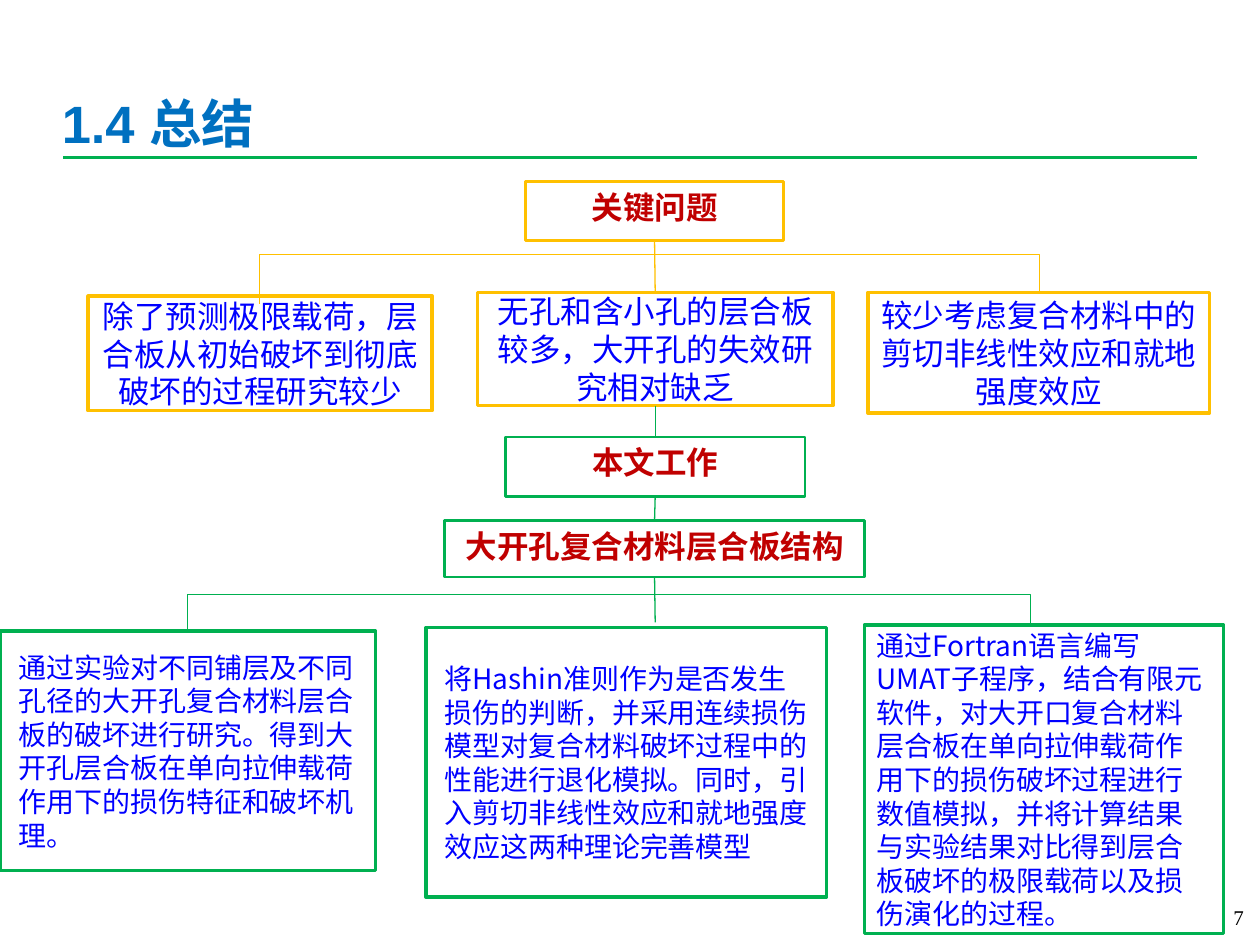
from lxml import etree
from pptx import Presentation
from pptx import util as u
from pptx.dml.color import RGBColor
from pptx.enum import shapes, text
from pptx.oxml import ns

theme = {
    "blue": RGBColor(0x00, 0x70, 0xC0), "body": RGBColor(0x00, 0x00, 0xFF),
    "red": RGBColor(0xC0, 0x00, 0x00), "black": RGBColor(0x00, 0x00, 0x00),
    "white": RGBColor(0xFF, 0xFF, 0xFF),
    "amber": RGBColor(0xFF, 0xC0, 0x00), "green": RGBColor(0x00, 0xB0, 0x50),
    "latin": "Arial", "cjk": "Noto Sans CJK SC", "serif": "Times New Roman",
    "title": 30, "head": 18, "issue": 18, "work": 16, "number": 12,
}

presentation = Presentation()
presentation.slide_width = u.Inches(10)
presentation.slide_height = u.Inches(7.5)
column = presentation.slide_width / 100
row = presentation.slide_height / 75
slide = presentation.slides.add_slide(presentation.slide_layouts[5])


def write(shape, words, size, font, color, bold=False, align=text.PP_ALIGN.CENTER,
          anchor=text.MSO_ANCHOR.MIDDLE, left=0.1, right=0.1):
    frame = shape.text_frame
    frame.text = words
    frame.word_wrap = True
    frame.auto_size = text.MSO_AUTO_SIZE.NONE
    frame.vertical_anchor = anchor
    frame.margin_left, frame.margin_right = u.Inches(left), u.Inches(right)
    paragraph = frame.paragraphs[0]
    paragraph.alignment = align
    run = paragraph.runs[0]
    run.font.size, run.font.bold, run.font.name = u.Pt(theme[size]), bold, theme[font]
    run.font.color.rgb = theme[color]
    east_asian = etree.SubElement(run.font._element, ns.qn("a:ea"))
    east_asian.set("typeface", theme["cjk"])
    return paragraph


def connect(x1, y1, x2, y2, color, width=0.75, bent=False):
    kind = shapes.MSO_CONNECTOR.ELBOW if bent else shapes.MSO_CONNECTOR.STRAIGHT
    connector = slide.shapes.add_connector(
        kind, int(x1 * column), int(y1 * row), int(x2 * column), int(y2 * row))
    connector.line.color.rgb = theme[color]
    connector.line.width = u.Pt(width)
    properties = connector._element.spPr
    if bent:
        properties.find(ns.qn("a:prstGeom")).set("prst", "bentConnector2")
    etree.SubElement(properties, ns.qn("a:effectLst"))
    return connector


connect(5, 12.5, 95, 12.5, "green", 2.25)

title = slide.shapes.title
title.left, title.top = int(3.9 * column), int(5.2 * row)
title.width, title.height = int(29.5 * column), int(6.1 * row)
write(title, "1.4 总结", "title", "latin", "blue", True,
      text.PP_ALIGN.LEFT, text.MSO_ANCHOR.TOP).line_spacing = 1.3

number = slide.shapes.add_textbox(
    int(76.4 * column), int(69.3 * row), int(23.3 * column), int(5 * row))
write(number, "7", "number", "serif", "black", False,
      text.PP_ALIGN.RIGHT, text.MSO_ANCHOR.BOTTOM)

head_style = dict(size="head", font="latin", color="red", bold=True,
                  anchor=text.MSO_ANCHOR.TOP)
issue_style = dict(size="issue", font="cjk", color="body", left=0.08, right=0.08)
work_style = dict(size="work", font="cjk", color="body", align=text.PP_ALIGN.LEFT)
indented_style = dict(work_style, left=0.15)

boxes = {}
for name, x, y, width, height, outline, weight, style, words in [
    ("issues", 41.7, 14.4, 20.5, 4.7, "amber", 1.5, head_style, "关键问题"),
    ("process", 7, 23.5, 27.3, 9.1, "amber", 2, issue_style,
     "除了预测极限载荷，层合板从初始破坏到彻底破坏的过程研究较少"),
    ("opening", 37.9, 23.2, 28.2, 9, "amber", 2, issue_style,
     "无孔和含小孔的层合板较多，大开孔的失效研究相对缺乏"),
    ("shear", 68.9, 23.2, 27.1, 9.6, "amber", 2, issue_style,
     "较少考虑复合材料中的剪切非线性效应和就地强度效应"),
    ("experiment", 0, 50.1, 29.8, 19, "green", 2, indented_style,
     "通过实验对不同铺层及不同孔径的大开孔复合材料层合板的破坏进行研究。"
     "得到大开孔层合板在单向拉伸载荷作用下的损伤特征和破坏机理。"),
    ("theory", 33.8, 49.8, 31.8, 21.4, "green", 2, indented_style,
     "将Hashin准则作为是否发生损伤的判断，并采用连续损伤模型对复合材料破坏过程中的"
     "性能进行退化模拟。同时，引入剪切非线性效应和就地强度效应这两种理论完善模型"),
    ("simulation", 68.6, 49.6, 28.5, 24.5, "green", 2, work_style,
     "通过Fortran语言编写UMAT子程序，结合有限元软件，对大开口复合材料层合板在"
     "单向拉伸载荷作用下的损伤破坏过程进行数值模拟，并将计算结果与实验结果对比"
     "得到层合板破坏的极限载荷以及损伤演化的过程。"),
    ("structure", 35.3, 41.3, 33.3, 4.5, "green", 1.5, head_style, "大开孔复合材料层合板结构"),
    ("work", 40.1, 34.7, 23.8, 4.7, "green", 1.5, head_style, "本文工作"),
]:
    box = slide.shapes.add_shape(
        shapes.MSO_SHAPE.RECTANGLE, int(x * column), int(y * row),
        int(width * column), int(height * row))
    box.shadow.inherit = False
    if style is head_style:
        box.fill.background()
    else:
        box.fill.solid()
        box.fill.fore_color.rgb = theme["white"]
    box.line.color.rgb = theme[outline]
    box.line.width = u.Pt(weight)
    write(box, words, **style)
    boxes[name] = box

trunk = 52
for branch_y, end_x, end_y, color in [
    (20.2, 20.6, 24.1, "amber"), (20.2, 82.5, 23.2, "amber"),
    (47.2, 14.9, 50.1, "green"), (47.2, 81.8, 49.7, "green"),
]:
    connect(trunk, branch_y, end_x, end_y, color, bent=True)

for upper, lower, top, bottom, color in [
    ("issues", "opening", 19.1, 23.2, "amber"), ("opening", "work", 32.2, 34.7, "green"),
    ("work", "structure", 39.4, 41.3, "green"), ("structure", None, 45.8, 49.4, "green"),
]:
    connector = connect(trunk, top, trunk, bottom, color)
    connector.begin_connect(boxes[upper], 2)
    if lower:
        connector.end_connect(boxes[lower], 0)

presentation.save("out.pptx")
